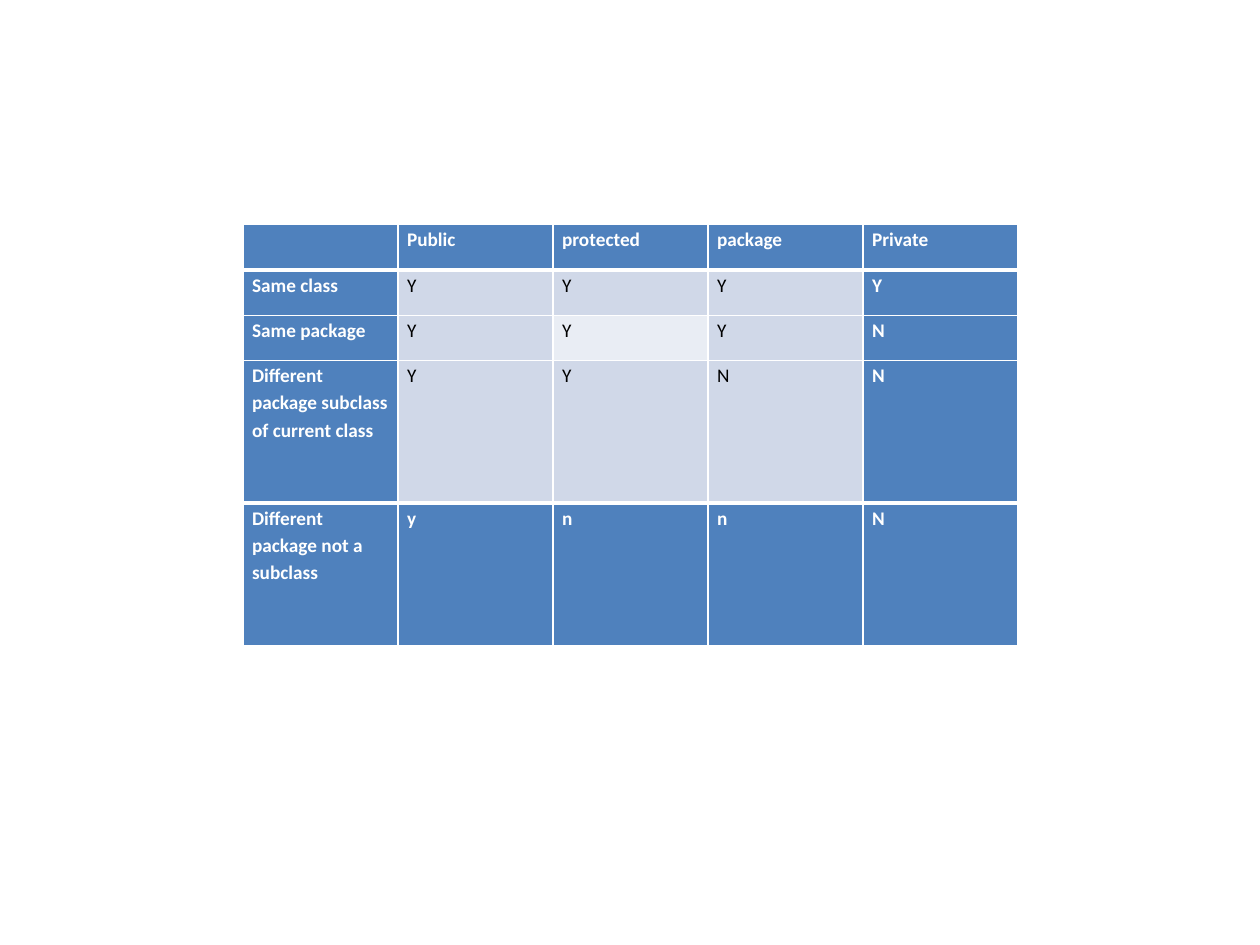
"""Build a slide with a table of Java access levels."""
from typing import NamedTuple

from lxml import etree
from pptx import Presentation
from pptx import util as u
from pptx.dml.color import RGBColor
from pptx.oxml import ns

BLUE, PALE, PALEST = "4F81BD", "D0D8E8", "E9EDF4"
WHITE, BLACK = "FFFFFF", "000000"
COLUMN_WIDTH = 88.6
THIN, THICK = 1, 3


class AccessRow(NamedTuple):
    """One table row: its height, texts and the fills of its cells."""
    height: float
    texts: tuple[str, ...]
    fills: tuple[str, ...]
    top: float = THIN
    bottom: float = THIN


SOLID = (BLUE,) * 5
BODY = (BLUE, PALE, PALE, PALE, BLUE)
ROWS = [
    AccessRow(25.9, ("", "Public", "protected", "package", "Private"), SOLID, bottom=THICK),
    AccessRow(25.9, ("Same class", "Y", "Y", "Y", "Y"), BODY, top=THICK),
    AccessRow(25.9, ("Same package", "Y", "Y", "Y", "N"), (BLUE, PALE, PALEST, PALE, BLUE)),
    AccessRow(81.4, ("Different package subclass of current class", "Y", "Y", "N", "N"),
              BODY, bottom=THICK),
    AccessRow(81.4, ("Different package not a subclass", "y", "n", "n", "N"), SOLID, top=THICK),
]


def color(value: str) -> RGBColor:
    """Turn a hex string into a colour."""
    return RGBColor.from_string(value)


def write_text(frame, content: str, *, size: float = 11, fill: str = WHITE,
               bold: bool = True) -> None:
    """Put one formatted paragraph in a text frame."""
    paragraph = frame.paragraphs[0]
    paragraph.line_spacing = 1.15
    paragraph.space_after = u.Pt(10)
    run = paragraph.add_run()
    run.text = content
    run.font.name = "Calibri"
    run.font.size = u.Pt(size)
    run.font.bold = bold
    run.font.color.rgb = color(fill)


def set_borders(cell, top: float, bottom: float) -> None:
    """Draw white lines on the four sides of a cell."""
    properties = cell._tc.get_or_add_tcPr()
    for side, width in zip("LRTB", (THIN, THIN, top, bottom)):
        line = etree.SubElement(properties, ns.qn(f"a:ln{side}"), w=str(u.Pt(width)))
        solid = etree.SubElement(line, ns.qn("a:solidFill"))
        etree.SubElement(solid, ns.qn("a:srgbClr"), val=WHITE)


def format_cell(cell, content: str, fill: str, row: AccessRow) -> None:
    """Set borders, fill, margins and text of a cell."""
    set_borders(cell, row.top, row.bottom)
    cell.fill.solid()
    cell.fill.fore_color.rgb = color(fill)
    cell.margin_left = cell.margin_right = u.Pt(5.2)
    cell.margin_top = cell.margin_bottom = u.Pt(0)
    header = fill == BLUE
    write_text(cell.text_frame, content, fill=WHITE if header else BLACK, bold=header)


def add_access_table(slide) -> None:
    """Add the table of access levels."""
    columns = len(ROWS[0].texts)
    table = slide.shapes.add_table(
        len(ROWS), columns, u.Pt(138.8), u.Pt(128.4),
        u.Pt(COLUMN_WIDTH * columns), u.Pt(sum(row.height for row in ROWS))).table
    for column in table.columns:
        column.width = u.Pt(COLUMN_WIDTH)
    for table_row, row in zip(table.rows, ROWS):
        table_row.height = u.Pt(row.height)
        for cell, content, fill in zip(table_row.cells, row.texts, row.fills):
            format_cell(cell, content, fill, row)


presentation = Presentation()
presentation.slide_width, presentation.slide_height = u.Pt(720), u.Pt(540)
add_access_table(presentation.slides.add_slide(presentation.slide_layouts[6]))
presentation.save("out.pptx")
